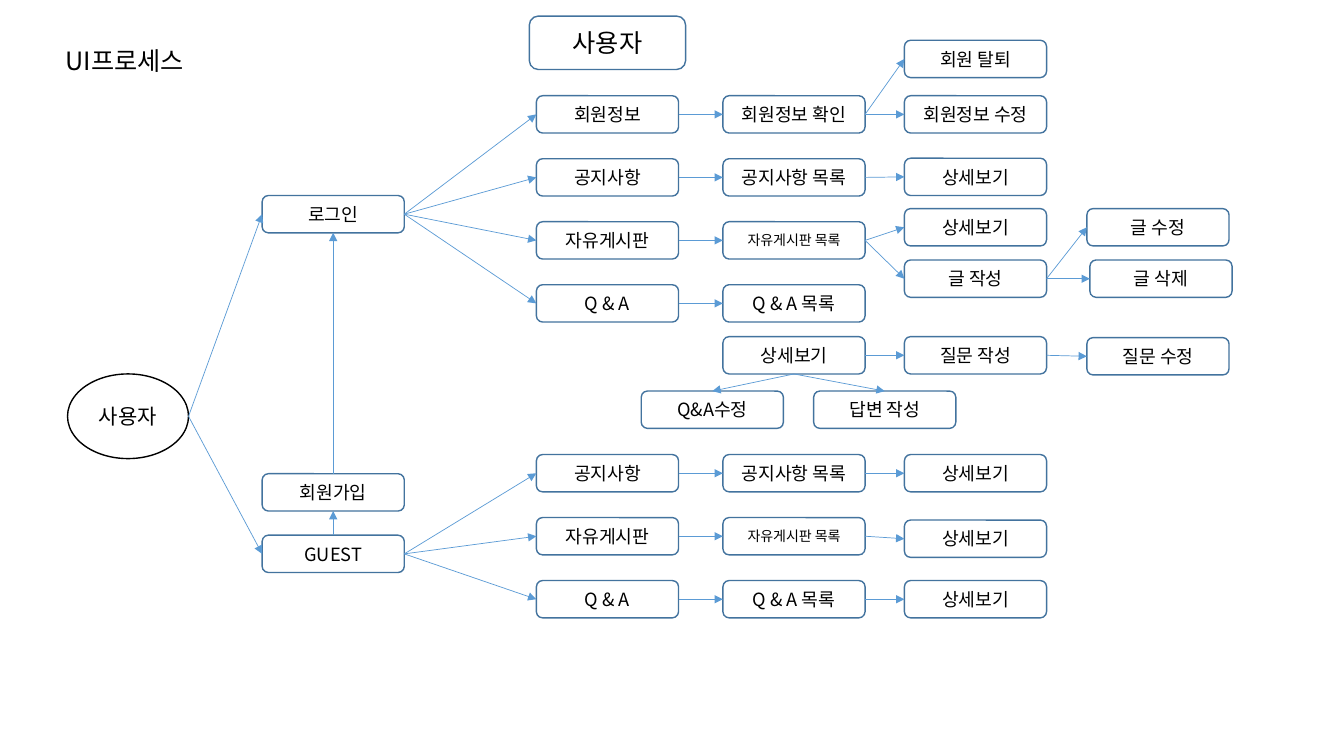
from pptx import Presentation
from pptx.util import Inches, Pt
from pptx.dml.color import RGBColor
from pptx.enum.shapes import MSO_SHAPE as Shape, MSO_CONNECTOR as Link
from pptx.enum.text import PP_ALIGN as Align, MSO_ANCHOR as Anchor
from pptx.oxml.ns import qn
from lxml.etree import SubElement as Sub

WHITE = RGBColor(0xFF, 0xFF, 0xFF)
BLACK = RGBColor(0x00, 0x00, 0x00)
EDGE = RGBColor(0x43, 0x73, 0x9E)
ARROW = RGBColor(0x5B, 0x9B, 0xD5)
FONT = "Noto Sans CJK KR"
WIDE, HIGH = 1.41, 0.37
TOP, LEFT, BOTTOM, RIGHT = range(4)

deck = Presentation()
deck.slide_width, deck.slide_height = Inches(13.33), Inches(7.5)
slide = deck.slides.add_slide(deck.slide_layouts[5])


def write(shape, text, size=13, align=Align.CENTER, wrap=True, inset=0.05):
    frame = shape.text_frame
    frame.word_wrap = wrap
    frame.vertical_anchor = Anchor.MIDDLE
    frame.margin_left = frame.margin_right = Inches(inset)
    para = frame.paragraphs[0]
    para.alignment = align
    run = para.add_run()
    run.text = text
    run.font.size, run.font.name = Pt(size), FONT
    run.font.color.rgb = BLACK
    Sub(run.font._element, qn("a:ea"), typeface=FONT)


def draw(text, x, y, wide=WIDE, high=HIGH, kind=Shape.ROUNDED_RECTANGLE,
         edge=EDGE, size=13):
    box = slide.shapes.add_shape(kind, *map(Inches, (x, y, wide, high)))
    box.shadow.inherit = False
    box.fill.solid()
    box.fill.fore_color.rgb = WHITE
    box.line.color.rgb = edge
    box.line.width = Pt(1)
    write(box, text, size)
    return box


# Title
title = slide.shapes.title
title.left, title.top, title.width, title.height = map(
    Inches, (0.55, 0.4, 1.54, 0.4))
write(title, "UI프로세스", size=18, align=Align.LEFT, wrap=False, inset=0.1)

# Heading and entry points
draw("사용자", 5.25, 0.16, 1.55, 0.53, size=18)
user = draw("사용자", 0.67, 3.71, 1.2, 0.84, Shape.OVAL, BLACK, 15)
login = draw("로그인", 2.6, 1.94)
join = draw("회원가입", 2.6, 4.7)
guest = draw("GUEST", 2.6, 5.31)
links = [(user, login), (user, guest),
         (guest, join, TOP, BOTTOM), (join, login, TOP, BOTTOM)]

# Menu rows: each menu leads to its list
MENU, LIST, PAGE, EDIT = 5.32, 7.17, 8.97, 10.78
STEP = 0.625
menus = [("회원정보", "회원정보 확인", 13),
         ("공지사항", "공지사항 목록", 13),
         ("자유게시판", "자유게시판 목록", 10),
         ("Q & A", "Q & A 목록", 13)]
lists = []
for root, start, rows in ((login, 0.95, menus), (guest, 4.51, menus[1:])):
    for i, (name, label, size) in enumerate(rows):
        y = start + i * STEP
        menu = draw(name, MENU, y)
        item = draw(label, LIST, y, size=size)
        links += [(root, menu), (menu, item)]
        lists.append(item)
info, news, board, _, *open_lists = lists

# Pages behind the lists
for item, text, y in ((info, "회원 탈퇴", 0.4), (info, "회원정보 수정", 0.95),
                      (news, "상세보기", 1.57), (board, "상세보기", 2.07)):
    links.append((item, draw(text, PAGE, y)))
for item, y in zip(open_lists, (4.51, 5.16, 5.76)):
    links.append((item, draw("상세보기", PAGE, y)))

# Board posts
post = draw("글 작성", PAGE, 2.58)
links += [(board, post),
          (post, draw("글 수정", EDIT, 2.07)),
          (post, draw("글 삭제", 10.81, 2.58))]

# Questions and answers
view = draw("상세보기", LIST, 3.34)
ask = draw("질문 작성", PAGE, 3.34)
links += [(view, ask), (ask, draw("질문 수정", EDIT, 3.35)),
          (view, draw("Q&A수정", 6.36, 3.88), BOTTOM, TOP),
          (view, draw("답변 작성", 8.07, 3.88), BOTTOM, TOP)]

# Arrows
for a, b, *sides in links:
    out, into = sides or (RIGHT, LEFT)
    line = slide.shapes.add_connector(
        Link.STRAIGHT, a.left + a.width, a.top + a.height // 2, b.left, b.top)
    if a is not user:  # an oval numbers its joints differently
        line.begin_connect(a, out)
    line.end_connect(b, into)
    line.line.color.rgb = ARROW
    line.line.width = Pt(0.5)
    Sub(line.line._get_or_add_ln(), qn("a:tailEnd"), type="triangle")
    Sub(line._element.spPr, qn("a:effectLst"))

deck.save("out.pptx")
